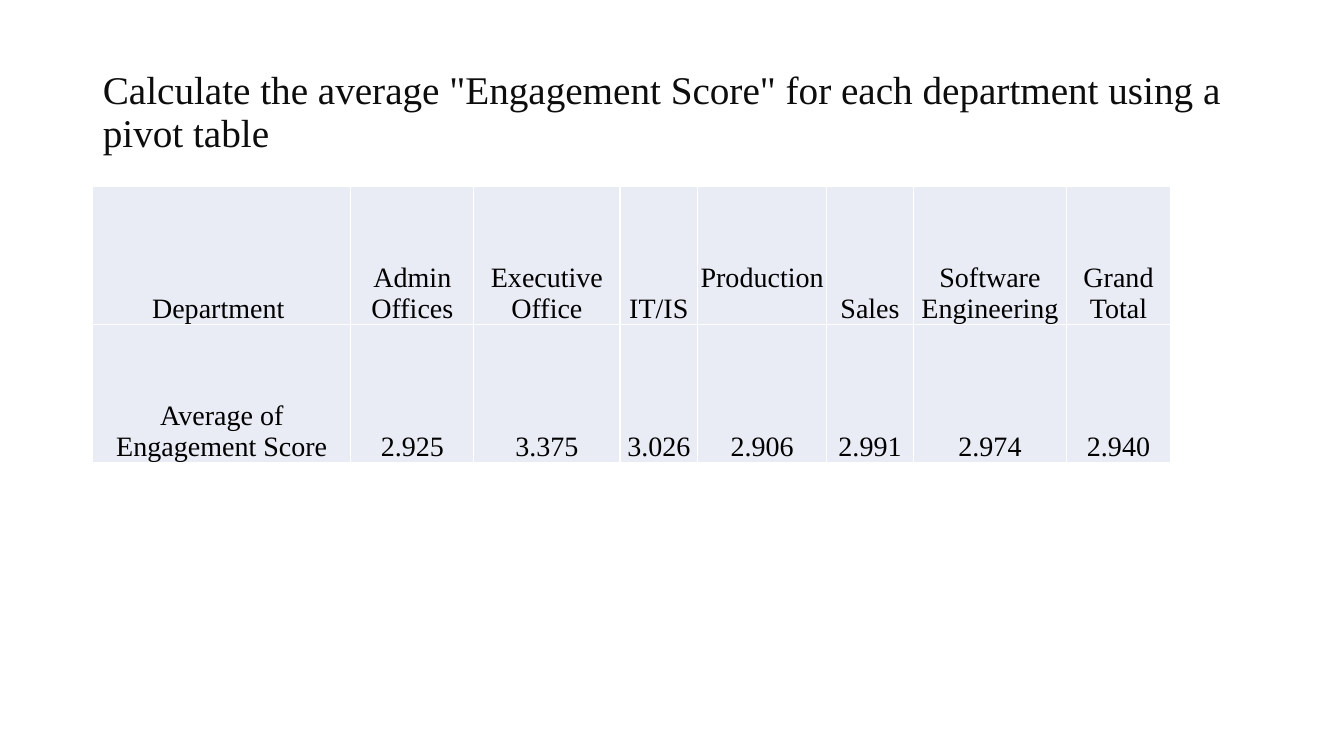
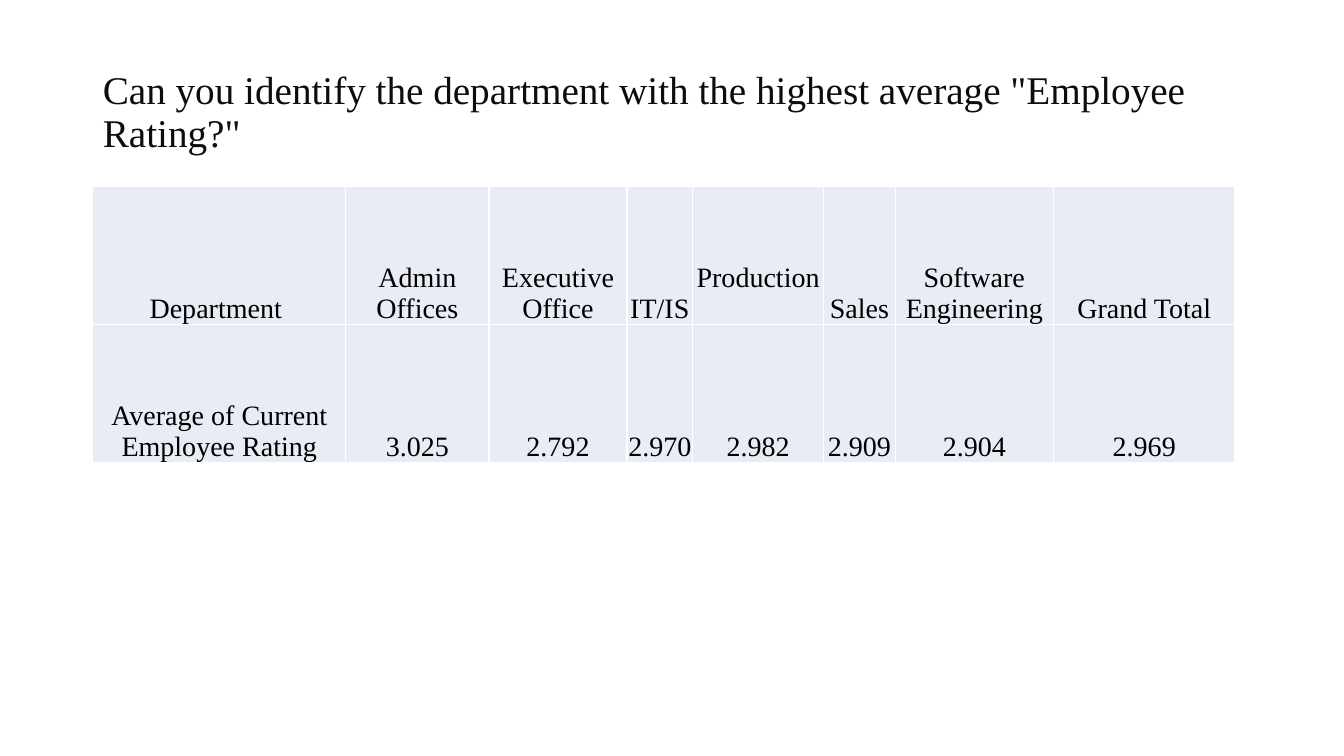
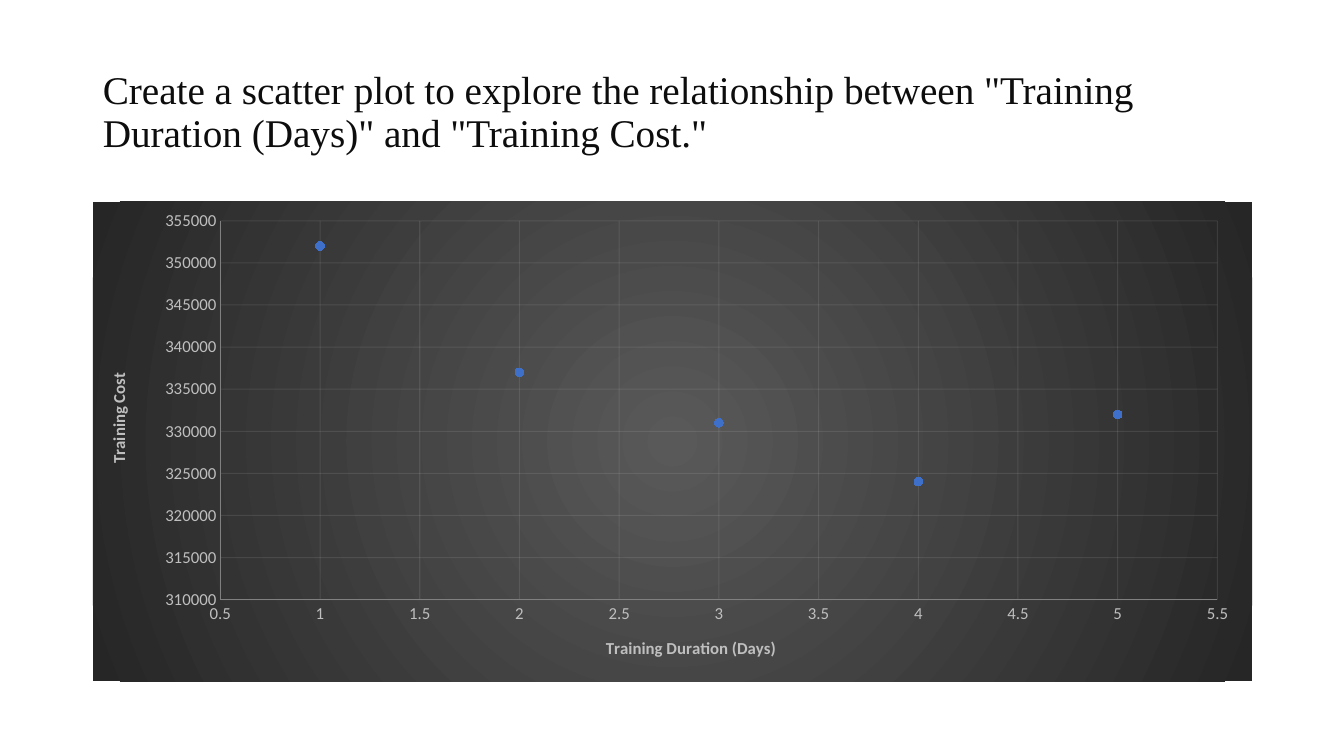
from dataclasses import dataclass

from pptx import Presentation
from pptx.chart.axis import ValueAxis
from pptx.chart.data import XyChartData
from pptx.dml.color import RGBColor
from pptx.enum.chart import XL_CHART_TYPE, XL_MARKER_STYLE, XL_TICK_MARK
from pptx.enum.text import MSO_ANCHOR, MSO_AUTO_SIZE, PP_ALIGN
from pptx.oxml import parse_xml
from pptx.oxml.ns import nsdecls, qn
from pptx.oxml.xmlchemy import BaseOxmlElement
from pptx.presentation import Presentation as Deck
from pptx.slide import Slide
from pptx.table import _Cell as Cell
from pptx.text.text import TextFrame
from pptx.util import Inches, Pt

COLORS = {
    "title": "0D0D0D",
    "text": "000000",
    "cell": "E9EBF5",
    "border": "FFFFFF",
    "chart_center": "595959",
    "chart_edge": "262626",
    "chart_text": "BFBFBF",
    "axis": "808080",
    "grid": "F2F2F2",
    "marker": "3E70CA",
}
TEXT_FONT = "Times New Roman"
CHART_FONT = "Calibri"
LEFT = 0.92
ROW_HEIGHT = 1.37
TEXT_LINE = 0.31
DEPARTMENTS = ["Department ", "Admin Offices", "Executive Office", "IT/IS",
               "Production", "Sales", "Software Engineering", "Grand Total"]


@dataclass(frozen=True)
class PivotPage:
    title: str
    measure: str
    averages: list[str]
    widths: list[float]


@dataclass(frozen=True)
class AxisScale:
    title: str
    minimum: float
    maximum: float
    step: float
    title_x: float
    title_y: float


PIVOT_PAGES = [
    PivotPage(
        'Calculate the average "Engagement Score" for each department using a pivot table',
        "Average of Engagement Score",
        ["2.925", "3.375", "3.026", "2.906", "2.991", "2.974", "2.940"],
        [2.56, 1.22, 1.45, 0.77, 1.28, 0.86, 1.52, 1.03],
    ),
    PivotPage(
        'Can you identify the department with the highest average "Employee Rating?"',
        "Average of Current Employee Rating",
        ["3.025", "2.792", "2.970", "2.982", "2.909", "2.904", "2.969"],
        [2.51, 1.42, 1.37, 0.65, 1.3, 0.71, 1.57, 1.8],
    ),
]
SCATTER_TITLE = ('Create a scatter plot to explore the relationship between '
                 '"Training Duration (Days)" and "Training Cost."')
DURATION = AxisScale("Training Duration (Days)", 0.5, 5.5, 0.5, 0.44, 0.9)
COST = AxisScale("Training Cost", 310000, 355000, 5000, 0.01, 0.35)
COST_BY_DAYS = {1: 352000, 2: 337000, 3: 331000, 4: 324000, 5: 332000}


def rgb(name: str) -> RGBColor:
    return RGBColor.from_string(COLORS[name])


def write(frame: TextFrame, text: str, *, size: float, color: str, font: str = TEXT_FONT,
          bold: bool = False, align: PP_ALIGN | None = None,
          spacing: float | None = None) -> None:
    para = frame.paragraphs[0]
    para.alignment = align
    para.line_spacing = spacing
    span = para.add_run()
    span.text = text
    span.font.name = font
    span.font.size = Pt(size)
    span.font.bold = bold
    span.font.color.rgb = rgb(color)


def add_page(deck: Deck, title: str) -> Slide:
    page = deck.slides.add_slide(deck.slide_layouts.get_by_name("Title Only"))
    box = page.shapes.title
    box.left, box.top = Inches(LEFT), Inches(0.4)
    box.width, box.height = Inches(11.5), Inches(1.45)
    frame = box.text_frame
    frame.word_wrap = True
    frame.auto_size = MSO_AUTO_SIZE.NONE
    frame.vertical_anchor = MSO_ANCHOR.MIDDLE
    write(frame, title, size=28, color="title", align=PP_ALIGN.LEFT, spacing=0.9)
    return page


def style_cell(cell: Cell, text: str) -> None:
    cell.margin_left = cell.margin_right = cell.margin_top = Inches(0.01)
    # The Production heading sits one line above its neighbours
    cell.margin_bottom = Inches(TEXT_LINE if text == "Production" else 0)
    cell.vertical_anchor = MSO_ANCHOR.BOTTOM
    write(cell.text_frame, text, size=20, color="text", align=PP_ALIGN.CENTER)
    properties = cell._tc.get_or_add_tcPr()
    for side in "LRTB":
        properties.append(parse_xml(
            f'<a:ln{side} {nsdecls("a")} w="{Pt(1)}"><a:solidFill>'
            f'<a:srgbClr val="{COLORS["border"]}"/></a:solidFill></a:ln{side}>'))
    cell.fill.solid()
    cell.fill.fore_color.rgb = rgb("cell")


def add_pivot_table(page: Slide, pivot: PivotPage) -> None:
    rows = [DEPARTMENTS, [pivot.measure, *pivot.averages]]
    table = page.shapes.add_table(
        len(rows), len(DEPARTMENTS), Inches(LEFT), Inches(1.85),
        Inches(sum(pivot.widths)), Inches(ROW_HEIGHT * len(rows))).table
    table.first_row = table.horz_banding = False
    for column, width in zip(table.columns, pivot.widths):
        column.width = Inches(width)
    for row, texts in zip(table.rows, rows):
        row.height = Inches(ROW_HEIGHT)
        for cell, text in zip(row.cells, texts):
            style_cell(cell, text)


def set_layout(element: BaseOxmlElement, index: int, *, inner: bool = False,
               **fractions: float) -> None:
    """Place a chart part by fractions (x, y, w, h) of the chart's size."""
    for layout in element.findall(qn("c:layout")):
        element.remove(layout)
    target = '<c:layoutTarget val="inner"/>' if inner else ""
    modes = '<c:xMode val="edge"/><c:yMode val="edge"/>'
    values = "".join(f'<c:{key} val="{value}"/>' for key, value in fractions.items())
    element.insert(index, parse_xml(
        f'<c:layout {nsdecls("c")}><c:manualLayout>{target}{modes}{values}'
        '</c:manualLayout></c:layout>'))


def style_axis(axis: ValueAxis, scale: AxisScale) -> None:
    axis.minimum_scale, axis.maximum_scale = scale.minimum, scale.maximum
    axis.major_unit = scale.step
    axis.major_tick_mark = axis.minor_tick_mark = XL_TICK_MARK.NONE
    axis.has_major_gridlines = True
    for line, color in ((axis.format.line, "axis"),
                        (axis.major_gridlines.format.line, "grid")):
        line.width = Pt(0.75)
        line.color.rgb = rgb(color)
    font = axis.tick_labels.font
    font.name, font.size = CHART_FONT, Pt(12)
    font.color.rgb = rgb("chart_text")
    write(axis.axis_title.text_frame, scale.title, size=12, color="chart_text",
          font=CHART_FONT, bold=True)
    set_layout(axis.axis_title._element, 1, x=scale.title_x, y=scale.title_y)


def add_scatter(page: Slide) -> None:
    data = XyChartData()
    points = data.add_series("Series 1")
    for days, cost in COST_BY_DAYS.items():
        points.add_data_point(days, cost)
    chart = page.shapes.add_chart(
        XL_CHART_TYPE.XY_SCATTER, Inches(LEFT), Inches(2), Inches(11.5), Inches(4.76),
        data).chart
    chart.has_title = chart.has_legend = False
    chart.font.name, chart.font.size = CHART_FONT, Pt(10)
    chart.font.color.rgb = rgb("text")
    style_axis(chart.category_axis, DURATION)
    style_axis(chart.value_axis, COST)

    plot = chart.plots[0]
    plot.vary_by_categories = False
    series = plot.series[0]
    series.format.line.fill.background()
    marker = series.marker
    marker.style, marker.size = XL_MARKER_STYLE.CIRCLE, 6
    marker.format.fill.solid()
    marker.format.fill.fore_color.rgb = rgb("marker")
    marker.format.line.fill.background()

    space = chart._chartSpace
    for color in space.xpath(".//c:majorGridlines//a:srgbClr"):
        color.append(parse_xml(f'<a:alpha {nsdecls("a")} val="10000"/>'))
    plot_area = space.xpath("c:chart/c:plotArea")[0]
    set_layout(plot_area, 0, inner=True, x=0.11, y=0.04, w=0.86, h=0.79)
    plot_area.append(parse_xml(f'<c:spPr {nsdecls("c", "a")}><a:noFill/></c:spPr>'))
    stops = "".join(
        f'<a:gs pos="{position}"><a:srgbClr val="{COLORS[color]}"/></a:gs>'
        for position, color in ((0, "chart_center"), (100000, "chart_edge")))
    space.find(qn("c:chart")).addnext(parse_xml(
        f'<c:spPr {nsdecls("c", "a")}><a:gradFill><a:gsLst>{stops}</a:gsLst>'
        '<a:path path="circle"><a:fillToRect l="50000" t="50000" r="50000" b="50000"/>'
        '</a:path></a:gradFill><a:ln><a:noFill/></a:ln></c:spPr>'))


def main() -> None:
    deck = Presentation()
    deck.slide_width, deck.slide_height = Inches(13.33), Inches(7.5)
    for pivot in PIVOT_PAGES:
        add_pivot_table(add_page(deck, pivot.title), pivot)
    add_scatter(add_page(deck, SCATTER_TITLE))
    deck.save("out.pptx")


if __name__ == "__main__":
    main()
